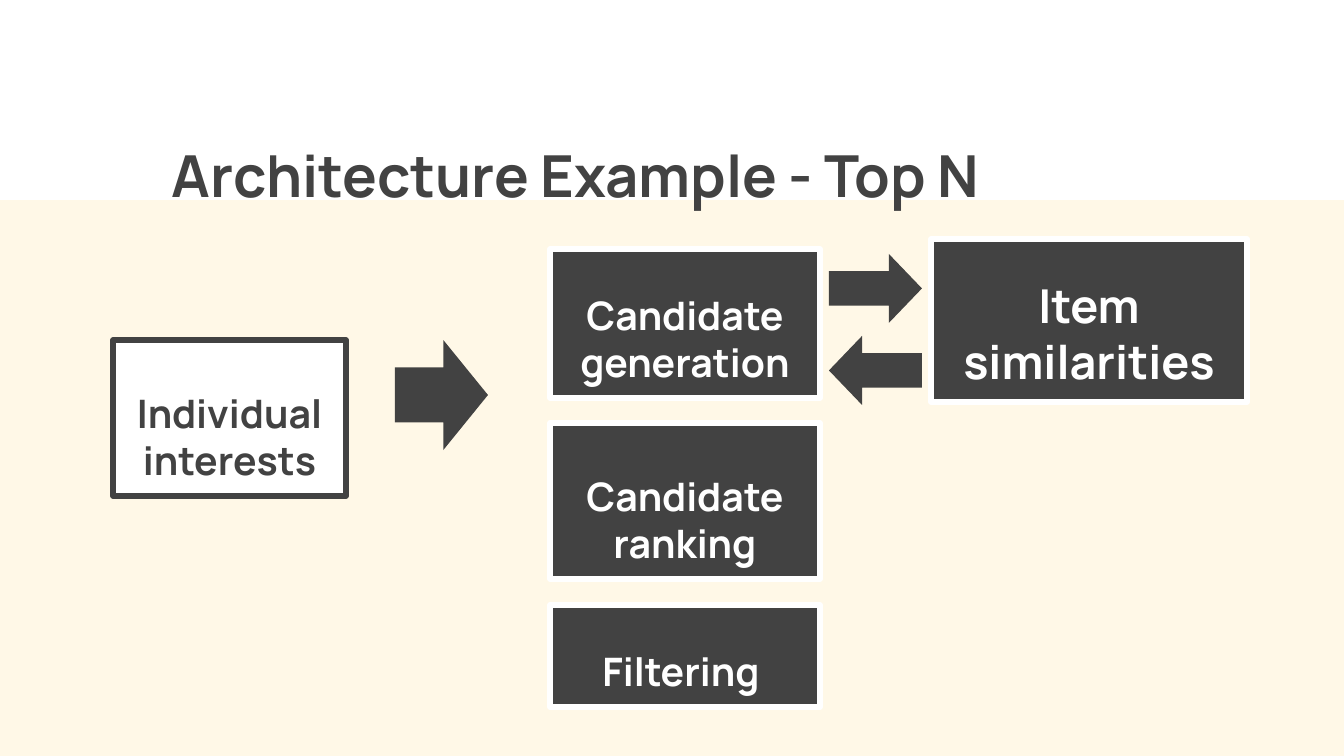
from pptx import Presentation
from pptx.dml.color import RGBColor
from pptx.enum.shapes import MSO_SHAPE
from pptx.enum.text import MSO_ANCHOR, PP_ALIGN
from pptx.util import Emu, Pt

RECTANGLE = MSO_SHAPE.RECTANGLE
RIGHT_ARROW, LEFT_ARROW = MSO_SHAPE.RIGHT_ARROW, MSO_SHAPE.LEFT_ARROW
BOTTOM = MSO_ANCHOR.BOTTOM
LEFT, CENTER = PP_ALIGN.LEFT, PP_ALIGN.CENTER

CREAM = RGBColor(0xFF, 0xF8, 0xE7)
WHITE = RGBColor(0xFF, 0xFF, 0xFF)
CHARCOAL = RGBColor(0x42, 0x42, 0x42)

FONT = "Manrope"
EMU_PER_PX = 914400 / 134.4
SLIDE_WIDTH, SLIDE_HEIGHT = 1344, 756
INSET = 13

TITLE = "Architecture Example - Top N"
TITLE_AREA = (159, 89, 1117, 133)
HEADER_AREA = (0, 0, SLIDE_WIDTH, 200)

# Pipeline stages share one column: text, top, height
STAGE_LEFT, STAGE_WIDTH = 550, 270
STAGES = [
    ("Candidate generation", 249, 149),
    ("Candidate ranking", 423, 156),
    ("Filtering ", 605, 102),
]
INTERESTS = ("Individual interests", (113, 340, 233, 156))
SIMILARITIES = ("Item similarities", (931, 239, 316, 163))

# Arrows share one width: shape, left, top, height
ARROW_WIDTH = 93
ARROW_ADJUSTMENTS = (0.5, 0.48)
ARROWS = [
    (RIGHT_ARROW, 395, 340, 110),
    (RIGHT_ARROW, 829, 254, 69),
    (LEFT_ARROW, 829, 336, 69),
]


def px(value):
    return Emu(round(value * EMU_PER_PX))


def add_filled_shape(slide, kind, area, fill, line=None):
    shape = slide.shapes.add_shape(kind, *map(px, area))
    shape.shadow.inherit = False
    shape.fill.solid()
    shape.fill.fore_color.rgb = fill
    if line is None:
        shape.line.fill.background()
    else:
        shape.line.color.rgb = line
        shape.line.width = Pt(3)
    return shape


def write_text(shape, text, *, size, color, align=CENTER, before=0, spacing=1.0):
    frame = shape.text_frame
    frame.word_wrap = True
    frame.vertical_anchor = BOTTOM
    frame.margin_left = frame.margin_right = px(INSET)
    frame.margin_top = frame.margin_bottom = px(INSET)
    paragraph = frame.paragraphs[0]
    paragraph.alignment = align
    paragraph.line_spacing = spacing
    paragraph.space_before = Pt(before)
    paragraph.space_after = Pt(10)
    run = paragraph.add_run()
    run.text = text
    run.font.name = FONT
    run.font.size = Pt(size)
    run.font.bold = True
    run.font.color.rgb = color


def add_box(slide, text, area, fill=CHARCOAL, ink=WHITE, size=21):
    """Add a labelled box whose border has the colour of its text."""
    box = add_filled_shape(slide, RECTANGLE, area, fill, line=ink)
    write_text(box, text, size=size, color=ink)


def main():
    presentation = Presentation()
    presentation.slide_width = px(SLIDE_WIDTH)
    presentation.slide_height = px(SLIDE_HEIGHT)
    slide = presentation.slides.add_slide(presentation.slide_layouts[6])
    slide.background.fill.solid()
    slide.background.fill.fore_color.rgb = CREAM

    add_filled_shape(slide, RECTANGLE, HEADER_AREA, WHITE)
    title = slide.shapes.add_textbox(*map(px, TITLE_AREA))
    write_text(title, TITLE, size=31, color=CHARCOAL, align=LEFT,
               before=10, spacing=1.5)

    add_box(slide, *INTERESTS, fill=WHITE, ink=CHARCOAL)
    for text, top, height in STAGES:
        add_box(slide, text, (STAGE_LEFT, top, STAGE_WIDTH, height))
    add_box(slide, *SIMILARITIES, size=25)

    for kind, left, top, height in ARROWS:
        arrow = add_filled_shape(
            slide, kind, (left, top, ARROW_WIDTH, height), CHARCOAL)
        for index, value in enumerate(ARROW_ADJUSTMENTS):
            arrow.adjustments[index] = value

    presentation.save("out.pptx")


if __name__ == "__main__":
    main()
